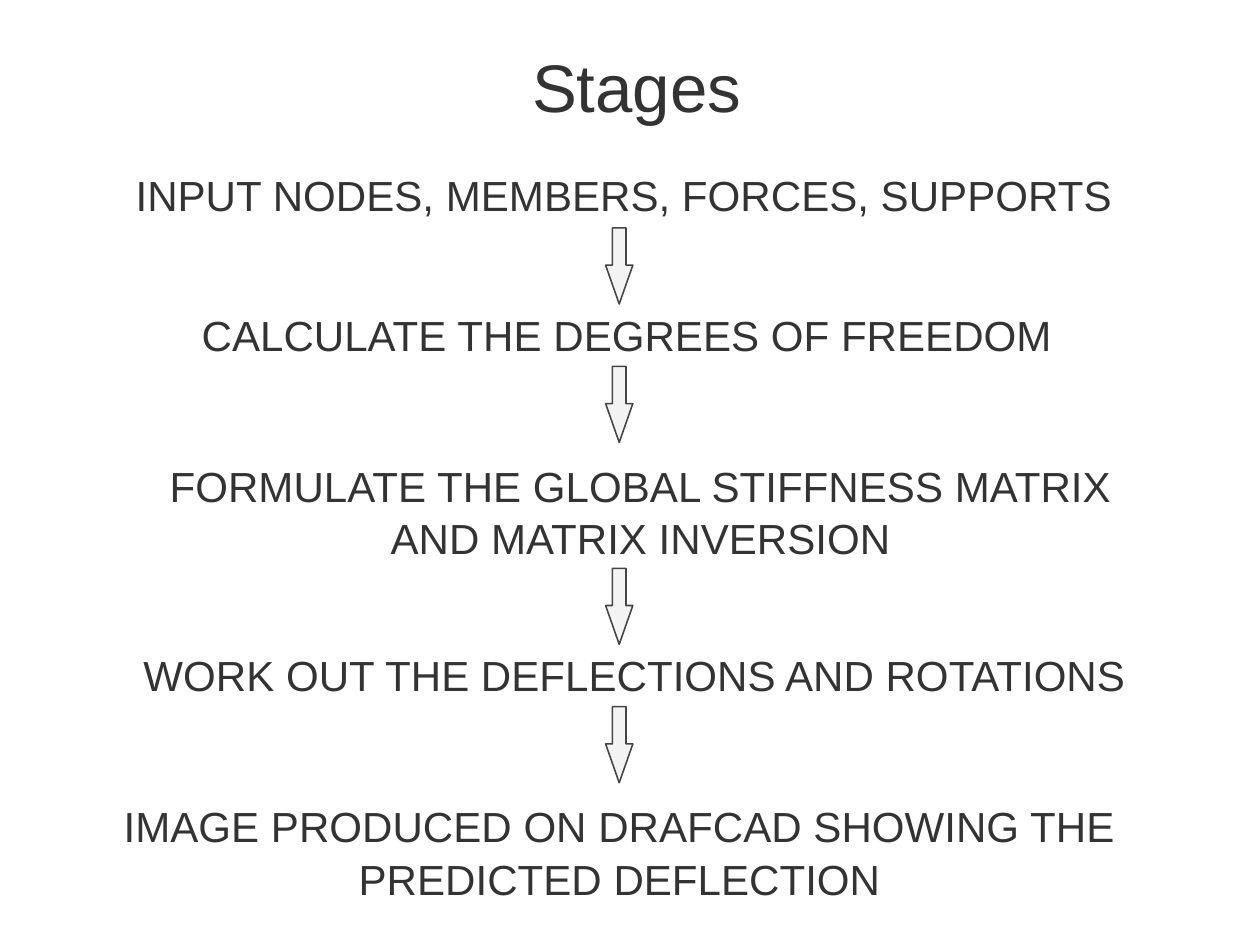
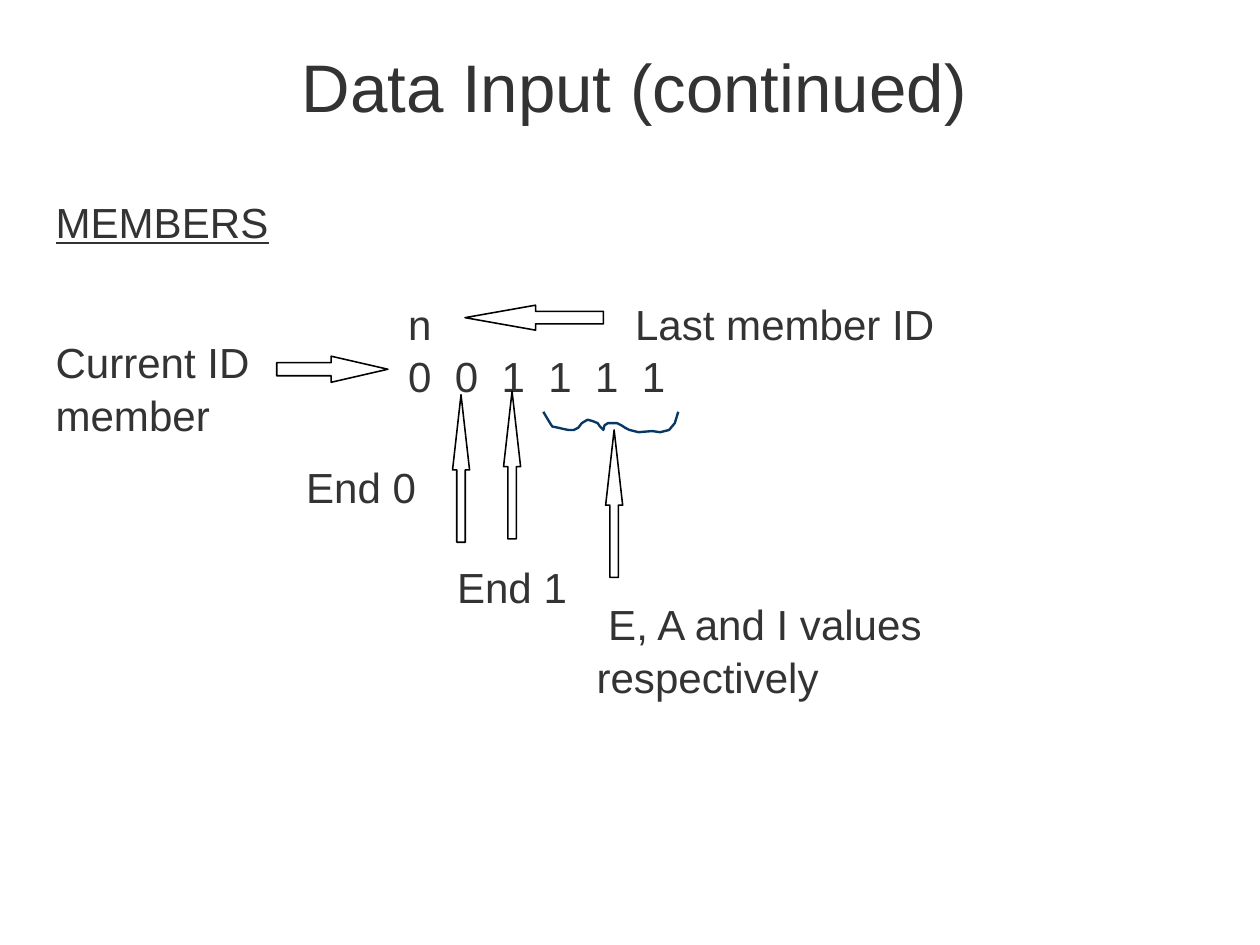
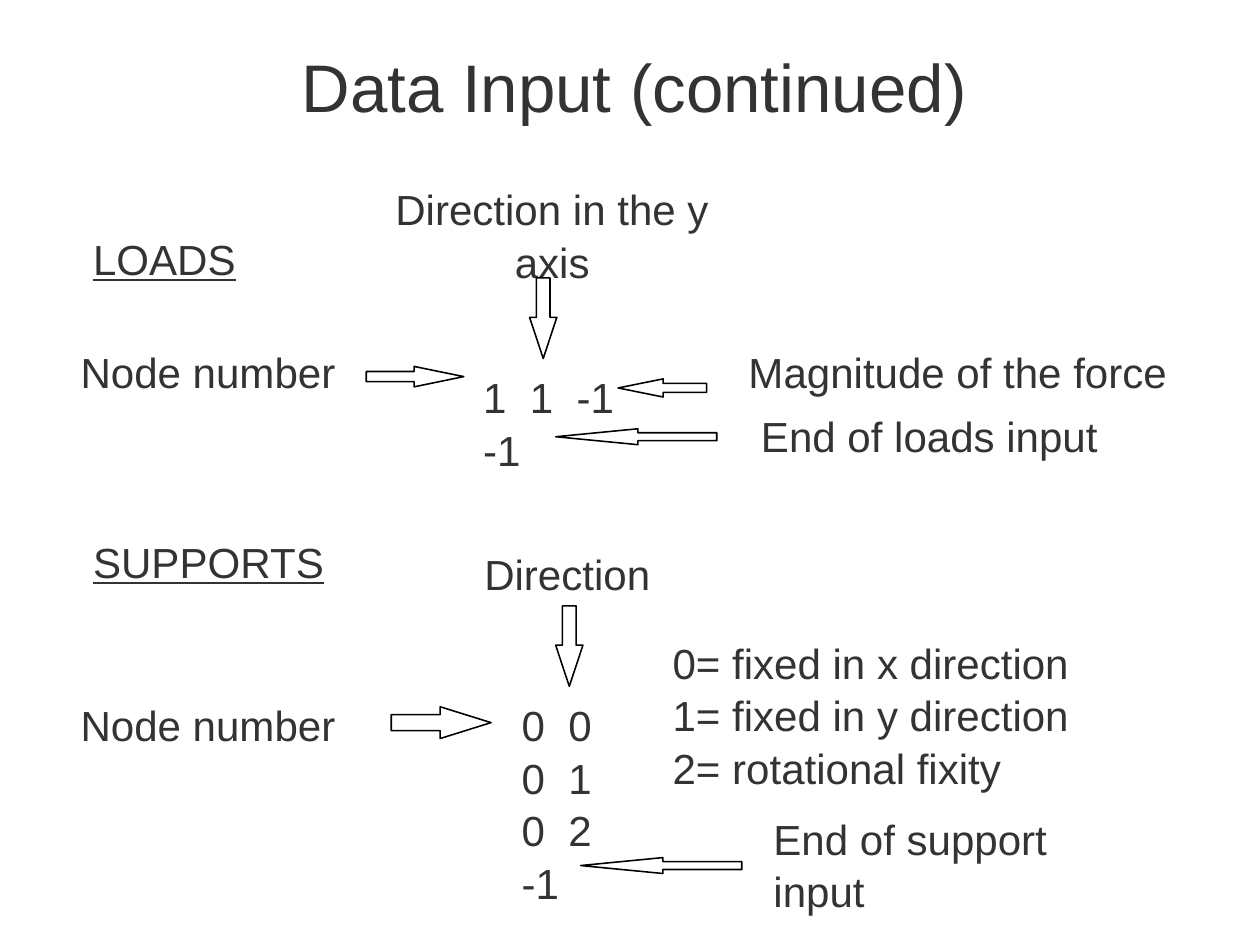
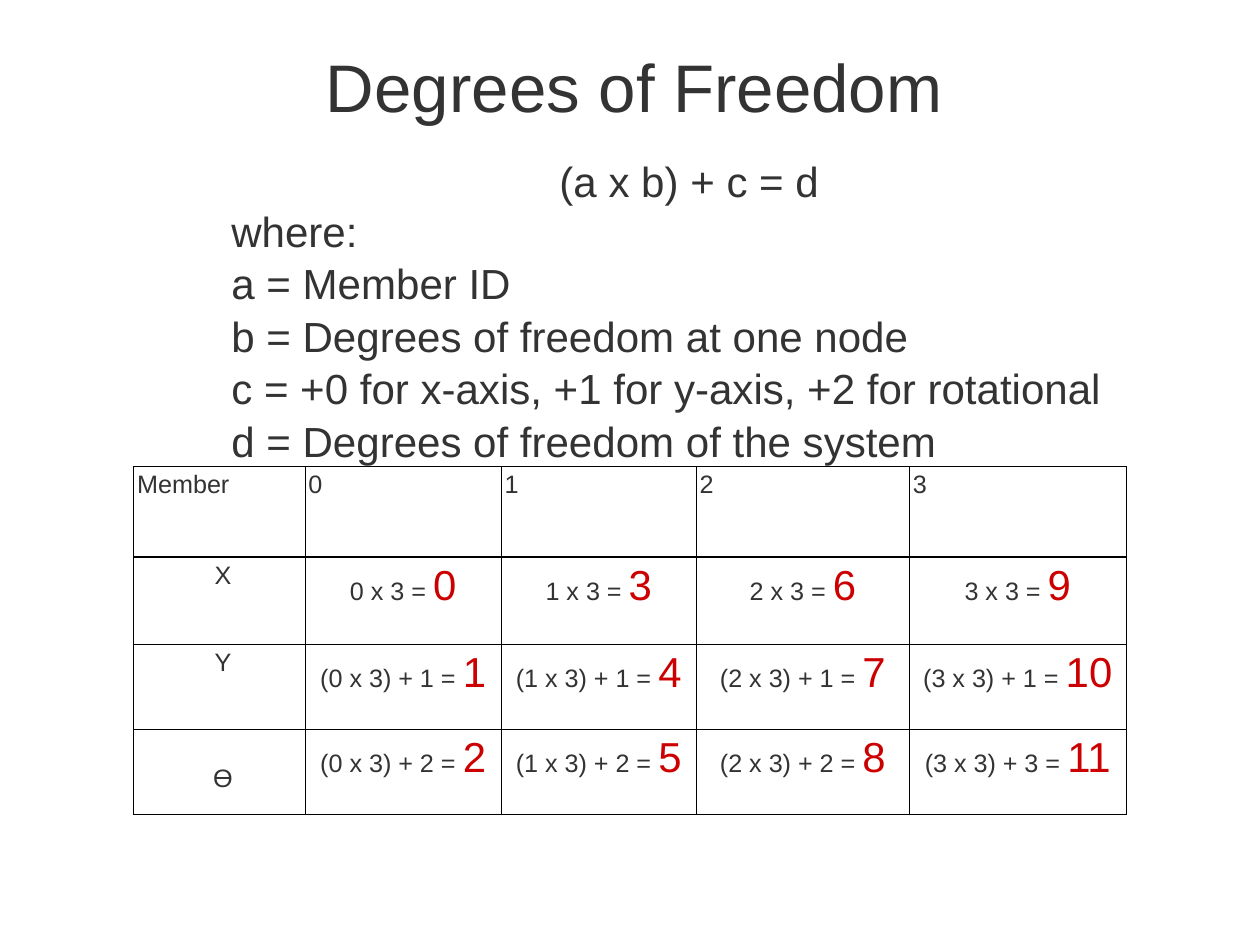
from lxml import etree
from pptx import Presentation
from pptx.dml.color import RGBColor
from pptx.enum.shapes import MSO_SHAPE
from pptx.enum.text import MSO_ANCHOR, PP_ALIGN
from pptx.oxml.ns import qn
from pptx.util import Inches, Pt

LEFT, CENTER = PP_ALIGN.LEFT, PP_ALIGN.CENTER
TOP = MSO_ANCHOR.TOP
ARROW_LEFT, ARROW_RIGHT = MSO_SHAPE.LEFT_ARROW, MSO_SHAPE.RIGHT_ARROW
ARROW_UP, ARROW_DOWN = MSO_SHAPE.UP_ARROW, MSO_SHAPE.DOWN_ARROW

FONT = "Arial"
INK, WHITE, BLACK, RED, NAVY = "333333", "FFFFFF", "000000", "CC0000", "073763"
TITLE_SIZE, BODY_SIZE, CELL_SIZE, RESULT_SIZE = 42.7, 26.7, 16, 26.6
LINE_SPACING = 1.04
TITLE_BOX = (0.33, 0.33, 10.53, 1.08)
SHAFT_SHARE, HEAD_SHARE = 0.5, 0.51
MARGINS = ("margin_left", "margin_top", "margin_right", "margin_bottom")


def color(value):
    return RGBColor.from_string(value)


def apply(target, values):
    for name, value in values.items():
        setattr(target, name, value)


def shift(origin, box):
    return (origin[0] + box[0], origin[1] + box[1], *box[2:])


def lengths(box):
    return [Inches(value) for value in box]


def write(paragraph, runs, align=LEFT):
    apply(paragraph, {"alignment": align, "line_spacing": LINE_SPACING})
    for text, size, ink, underline in runs:
        run = paragraph.add_run()
        run.text = text
        apply(run.font, {"name": FONT, "size": Pt(size), "underline": underline})
        run.font.color.rgb = color(ink)


def add_text(slide, box, text, align=LEFT, size=BODY_SIZE, underline=False):
    frame = slide.shapes.add_textbox(*lengths(box)).text_frame
    apply(frame, {"word_wrap": True, "vertical_anchor": TOP})
    apply(frame, dict.fromkeys(MARGINS, Inches(0.04)))
    for index, line in enumerate(text.split("\n")):
        paragraph = frame.add_paragraph() if index else frame.paragraphs[0]
        write(paragraph, [(line, size, INK, underline)], align)


def add_arrow(slide, kind, box, fill=WHITE, line=BLACK):
    arrow = slide.shapes.add_shape(kind, *lengths(box))
    arrow.shadow.inherit = False
    arrow.fill.solid()
    arrow.fill.fore_color.rgb = color(fill)
    arrow.line.color.rgb = color(line)
    arrow.line.width = Pt(1)
    arrow.adjustments[0] = SHAFT_SHARE
    arrow.adjustments[1] = HEAD_SHARE * max(box[2:]) / min(box[2:])


def add_brace(slide, origin, points):
    start, *rest = [lengths(shift(origin, point)) for point in points]
    builder = slide.shapes.build_freeform(*start)
    builder.add_line_segments(rest, close=False)
    brace = builder.convert_to_shape()
    brace.shadow.inherit = False
    brace.fill.background()
    brace.line.color.rgb = color(NAVY)
    brace.line.width = Pt(1.5)


def add_slide(presentation, title, title_box=TITLE_BOX):
    slide = presentation.slides.add_slide(presentation.slide_layouts[6])
    slide.background.fill.solid()
    slide.background.fill.fore_color.rgb = color(WHITE)
    add_text(slide, title_box, title, CENTER, TITLE_SIZE)
    return slide


def add_stages(slide, origin):
    stages = [
        ((0, 0, 9.89, 0.67), "INPUT NODES, MEMBERS, FORCES, SUPPORTS"),
        ((0.66, 1.23, 8.62, 0.79), "CALCULATE THE DEGREES OF FREEDOM"),
        ((0.66, 2.56, 8.86, 0.99),
         "FORMULATE THE GLOBAL STIFFNESS MATRIX AND MATRIX INVERSION"),
        ((0.66, 4.23, 8.86, 0.99), "WORK OUT THE DEFLECTIONS AND ROTATIONS "),
        ((0.22, 5.56, 9.37, 1.31),
         "IMAGE PRODUCED ON DRAFCAD SHOWING THE PREDICTED DEFLECTION"),
    ]
    for box, text in stages:
        add_text(slide, shift(origin, box), text, CENTER)
    for top in (0.57, 1.79, 3.57, 4.79):
        arrow_box = shift(origin, (4.78, top, 0.24, 0.67))
        add_arrow(slide, ARROW_DOWN, arrow_box, "F3F3F3", "444444")


def add_diagram(slide, origin, heading, labels, arrows):
    heading_box, heading_text = heading
    add_text(slide, shift(origin, heading_box), heading_text, underline=True)
    for box, text, align in labels:
        add_text(slide, shift(origin, box), text, align)
    for kind, box in arrows:
        add_arrow(slide, kind, shift(origin, box))


def add_members(slide, origin):
    labels = [
        ((3.11, 0.9, 2.7, 1.14), "n \n" + "\u00a0 ".join("001111"), LEFT),
        ((5.11, 0.9, 3.37, 0.47), "Last member ID", LEFT),
        ((0, 1.24, 1.94, 0.88), "Current ID member", LEFT),
        ((2.21, 2.34, 1.2, 0.51), "End 0", LEFT),
        ((3.54, 3.22, 1.2, 0.51), "End 1", LEFT),
        ((4.77, 3.55, 4.38, 1.42), "\u00a0E, A and I values respectively", LEFT),
    ]
    arrows = [
        (ARROW_LEFT, (3.65, 1.02, 1.22, 0.22)),
        (ARROW_RIGHT, (1.99, 1.47, 0.98, 0.23)),
        (ARROW_UP, (3.54, 1.81, 0.15, 1.3)),
        (ARROW_UP, (3.99, 1.78, 0.15, 1.3)),
        (ARROW_UP, (4.89, 2.12, 0.15, 1.3)),
    ]
    add_diagram(slide, origin, ((0, 0, 2.14, 0.77), "MEMBERS"), labels, arrows)
    add_brace(slide, shift(origin, (4.34, 1.96)), [
        (0, 0), (0.06, 0.1), (0.08, 0.13), (0.13, 0.14), (0.17, 0.15),
        (0.22, 0.16), (0.27, 0.16), (0.31, 0.14), (0.34, 0.1), (0.39, 0.07),
        (0.43, 0.08), (0.48, 0.1), (0.5, 0.13), (0.53, 0.16), (0.54, 0.12),
        (0.57, 0.1), (0.65, 0.1), (0.69, 0.12), (0.72, 0.14), (0.76, 0.16),
        (0.84, 0.18), (0.96, 0.17), (1.03, 0.18), (1.11, 0.16), (1.16, 0.1),
        (1.19, 0),
    ])


def add_loads(slide, origin):
    labels = [
        ((3.55, 1.66, 1.83, 1.43), "1\u00a0 1\u00a0 -1\n-1", LEFT),
        ((6, 2, 3.26, 0.61), "End of loads input", LEFT),
        ((0, 1.44, 2.63, 0.58), "Node number", LEFT),
        ((5.89, 1.44, 3.8, 0.52), "Magnitude of the force", LEFT),
        ((2.77, 0, 2.86, 0.93), "Direction in the y axis", CENTER),
    ]
    arrows = [
        (ARROW_LEFT, (4.23, 2.22, 1.42, 0.14)),
        (ARROW_RIGHT, (2.56, 1.67, 0.86, 0.18)),
        (ARROW_DOWN, (4, 0.89, 0.24, 0.71)),
        (ARROW_LEFT, (4.78, 1.78, 0.78, 0.16)),
    ]
    add_diagram(slide, origin, ((0.11, 0.44, 1.82, 0.61), "LOADS"), labels, arrows)


def add_supports(slide, origin):
    labels = [
        ((3.89, 1.44, 1.21, 2.14),
         "0\u00a0 0\n0\u00a0 1\n0\u00a0 2\n-1 ", LEFT),
        ((6.11, 2.44, 3.26, 0.98), "End of support input", LEFT),
        ((0, 1.44, 2.63, 0.58), "Node number", LEFT),
        ((5.22, 0.89, 4.49, 1.59),
         "0= fixed in x direction\n1= fixed in y direction\n2= rotational fixity",
         LEFT),
        ((3.11, 0.11, 2.55, 0.55), "Direction ", CENTER),
    ]
    arrows = [
        (ARROW_LEFT, (4.45, 2.89, 1.42, 0.14)),
        (ARROW_RIGHT, (2.78, 1.56, 0.88, 0.28)),
        (ARROW_DOWN, (4.23, 0.67, 0.24, 0.71)),
    ]
    add_diagram(slide, origin, ((0.11, 0, 2.25, 0.58), "SUPPORTS"), labels, arrows)


def add_formula(slide, box):
    left, top, width, height = box
    add_text(slide, (left, top, width, 0.5), "(a x b) + c = d", CENTER)
    line = BODY_SIZE * 1.149 * LINE_SPACING / 72
    add_text(slide, (left, top + line, width, height - line),
             "where:\na = Member ID\nb = Degrees of freedom at one node\n"
             "c = +0 for x-axis, +1 for y-axis, +2 for rotational\n"
             "d\u00a0= Degrees of freedom of the system")


def format_cell(cell, top_margin=0.03):
    apply(cell, dict.fromkeys(MARGINS, Inches(0.03)))
    apply(cell, {"margin_top": Inches(top_margin), "vertical_anchor": TOP})
    properties = cell._tc.get_or_add_tcPr()
    for side in ("a:lnL", "a:lnR", "a:lnT", "a:lnB"):
        border = etree.SubElement(properties, qn(side), w=str(Pt(0.75)))
        fill = etree.SubElement(border, qn("a:solidFill"))
        etree.SubElement(fill, qn("a:srgbClr"), val=BLACK)
    cell.fill.solid()
    cell.fill.fore_color.rgb = color(WHITE)


def add_freedom_table(slide, origin):
    widths, heights = (1.51, 1.73, 1.72, 1.88, 1.91), (0.8, 0.77, 0.75, 0.75)
    box = (*origin, sum(widths), sum(heights))
    table = slide.shapes.add_table(len(heights), len(widths), *lengths(box)).table
    apply(table, {"first_row": False, "horz_banding": False})
    for column, width in zip(table.columns, widths):
        column.width = Inches(width)
    for row, height in zip(table.rows, heights):
        row.height = Inches(height)

    for column, text in enumerate(("Member", "0", "1", "2", "3")):
        cell = table.cell(0, column)
        format_cell(cell)
        write(cell.text_frame.paragraphs[0], [(text, CELL_SIZE, INK, False)])

    rows = [
        ("\u00a0X", 0.03, [f"{member} x 3 = " for member in range(4)]),
        ("\u00a0Y", 0.03, [f"({member} x 3) + 1 = " for member in range(4)]),
        ("\u00a0\u03f4", 0.3, ["(0 x 3) + 2 = ", "(1 x 3) + 2 = ",
                               "(2 x 3) + 2 = ", "(3 x 3) + 3 = "]),
    ]
    for offset, (axis, axis_margin, formulas) in enumerate(rows):
        cell = table.cell(offset + 1, 0)
        format_cell(cell, axis_margin)
        write(cell.text_frame.paragraphs[0], [(axis, CELL_SIZE, INK, False)], CENTER)
        for member, formula in enumerate(formulas):
            cell = table.cell(offset + 1, member + 1)
            format_cell(cell)
            result = str(member * 3 + offset)
            write(cell.text_frame.paragraphs[0],
                  [(formula, CELL_SIZE, INK, False),
                   (result, RESULT_SIZE, RED, False)], CENTER)


presentation = Presentation()
apply(presentation, {"slide_width": Inches(11.11), "slide_height": Inches(8.33)})

stages_slide = add_slide(presentation, "Stages", (2.22, 0.33, 6.79, 0.82))
add_stages(stages_slide, (0.56, 1.44))

members_slide = add_slide(presentation, "Data Input (continued)")
add_members(members_slide, (0.45, 1.67))

loads_slide = add_slide(presentation, "Data Input (continued)")
add_loads(loads_slide, (0.67, 1.56))
add_supports(loads_slide, (0.67, 4.67))

freedom_slide = add_slide(presentation, "Degrees of Freedom")
add_freedom_table(freedom_slide, (1.18, 4.11))
add_formula(freedom_slide, (2, 1.31, 8.16, 2.77))

presentation.save("out.pptx")
